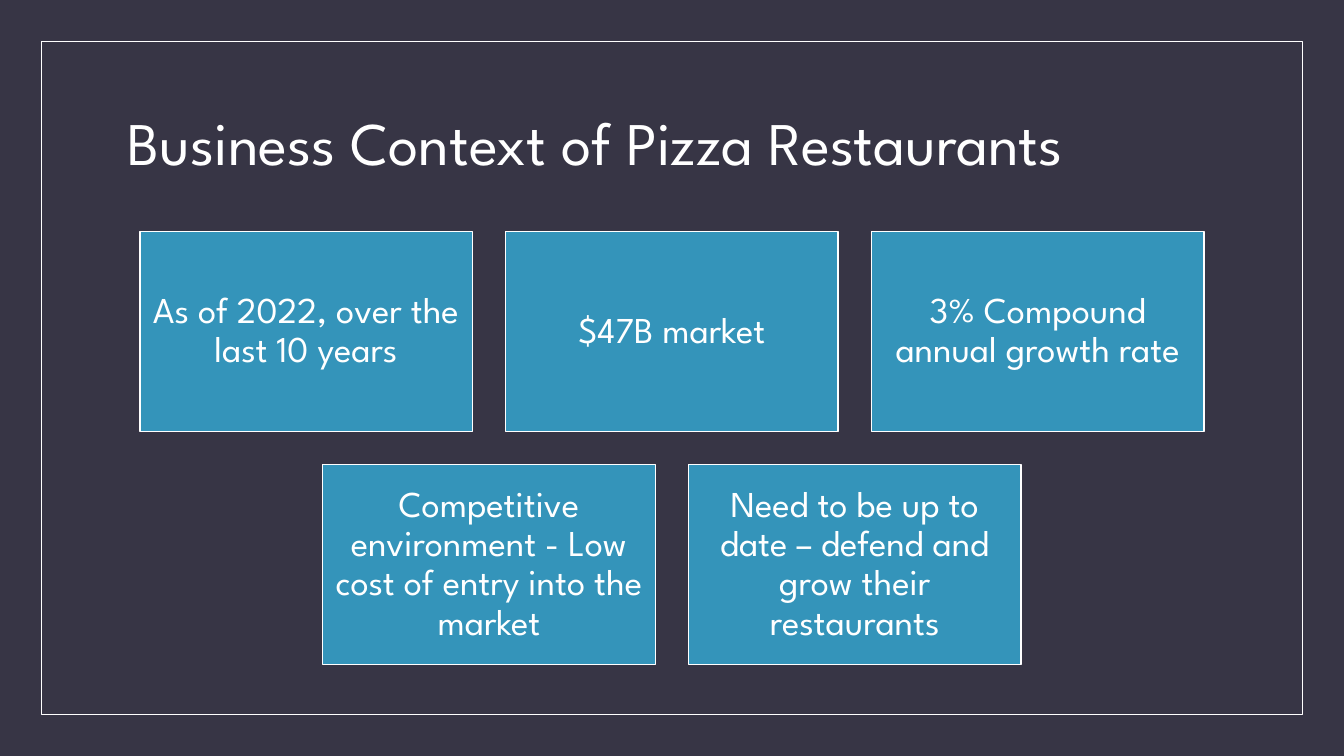
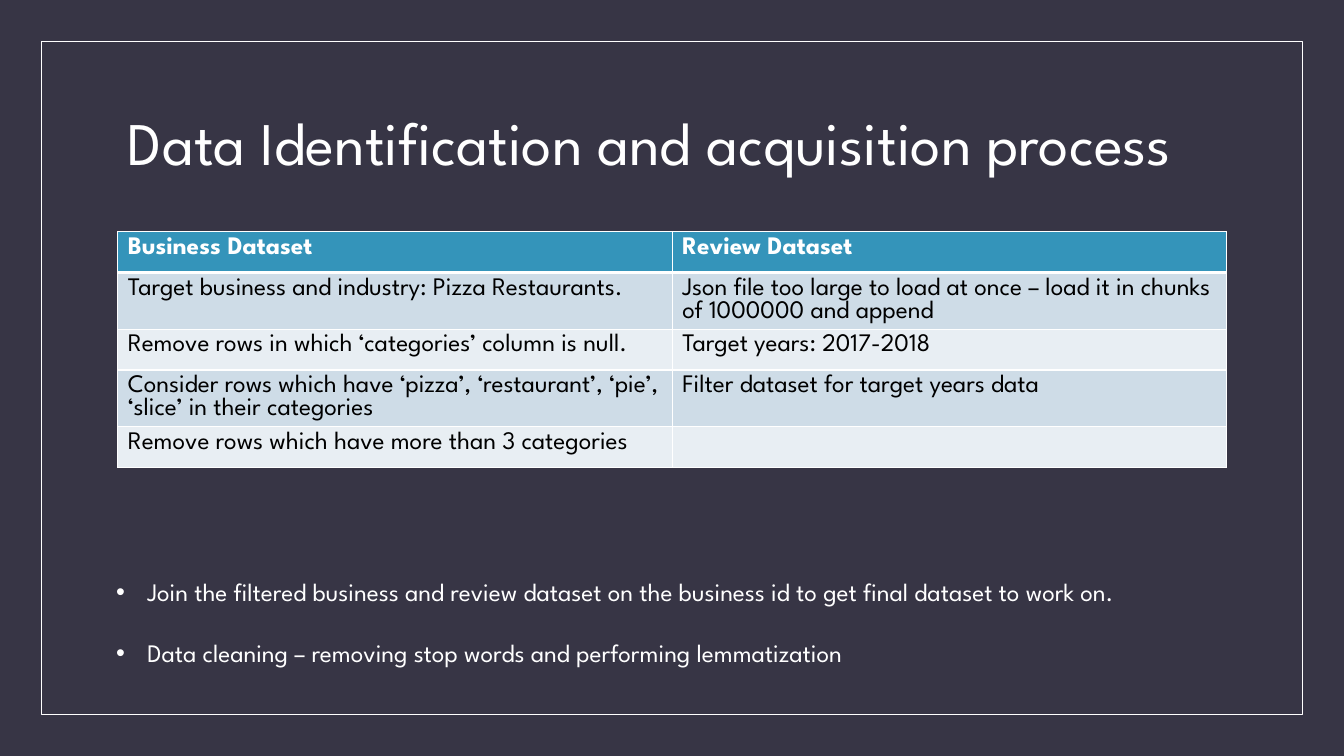
import pptx
import pptx.util
import pptx.dml.color
import pptx.enum.shapes
import pptx.enum.text
import pptx.oxml.ns
import lxml.etree

Cm = pptx.util.Cm
Pt = pptx.util.Pt
RGBColor = pptx.dml.color.RGBColor
ALIGN = pptx.enum.text.PP_ALIGN
ANCHOR = pptx.enum.text.MSO_ANCHOR
RECT = pptx.enum.shapes.MSO_SHAPE.RECTANGLE
qn = pptx.oxml.ns.qn

# Shared look
FONT = "League Spartan"
DARK = RGBColor(0x37, 0x35, 0x45)
BLUE = RGBColor(0x34, 0x94, 0xBA)
WHITE = RGBColor(0xFF, 0xFF, 0xFF)
BLACK = RGBColor(0x00, 0x00, 0x00)
BANDS = [RGBColor(0xCE, 0xDC, 0xE7), RGBColor(0xE8, 0xEE, 0xF3)]

# Sizes in centimetres
SLIDE_W, SLIDE_H = 33.87, 19.05
FRAME_MARGIN = 1.04
CONTENT_X, CONTENT_Y, CONTENT_W = 2.97, 5.84, 27.94
CARD_W, CARD_H, CARD_GAP = 8.38, 5.03, 0.84
TABLE_ROW_H = 1.03

CARD_ROWS = [
    ["As of 2022, over the last 10 years", "$47B market",
     "3% Compound annual growth rate"],
    ["Competitive environment - Low cost of entry into the market",
     "Need to be up to date – defend and grow their restaurants"],
]
DATASET_ROWS = [
    ("Business Dataset", "Review Dataset"),
    ("Target business and industry: Pizza Restaurants.",
     "Json file too large to load at once – load it in chunks of 1000000 and append"),
    ("Remove rows in which ‘categories’ column is null.",
     "Target years: 2017-2018"),
    ("Consider rows which have ‘pizza’, ‘restaurant’, ‘pie’, ‘slice’ in their categories",
     "Filter dataset for target years data"),
    ("Remove rows which have more than 3 categories", ""),
]
NEXT_STEPS = [
    "Join the filtered business and review dataset on the business id to get final dataset to work on.",
    "Data cleaning – removing stop words and performing lemmatization",
]


def write(p, text, size=18, color=WHITE, bold=False, align=ALIGN.LEFT,
          spacing=1.0, before=0):
    """Put one formatted run into a paragraph."""
    p.alignment = align
    p.line_spacing = spacing
    p.space_before = Pt(before)
    if text:
        r = p.add_run()
        r.text = text
        r.font.name = FONT
        r.font.size = Pt(size)
        r.font.bold = bold
        r.font.color.rgb = color


def place(shape, x, y, w, h):
    shape.left, shape.top, shape.width, shape.height = Cm(x), Cm(y), Cm(w), Cm(h)


def add_box(s, x, y, w, h, line_width, fill=None):
    sp = s.shapes.add_shape(RECT, Cm(x), Cm(y), Cm(w), Cm(h))
    sp.shadow.inherit = False
    if fill is None:
        sp.fill.background()
    else:
        sp.fill.solid()
        sp.fill.fore_color.rgb = fill
    sp.line.color.rgb = WHITE
    sp.line.width = Pt(line_width)
    return sp


def style_master(prs, s):
    """Give the master its background, title place and frame."""
    master = prs.slide_master
    master.background.fill.solid()
    master.background.fill.fore_color.rgb = DARK
    place(master.placeholders[0], CONTENT_X, 1.78, CONTENT_W, 3.81)
    frame = add_box(s, FRAME_MARGIN, FRAME_MARGIN, SLIDE_W - 2 * FRAME_MARGIN,
                    SLIDE_H - 2 * FRAME_MARGIN, 0.5)
    master.shapes.element.insert(2, frame.element)


def add_slide(prs, layout, title):
    s = prs.slides.add_slide(prs.slide_layouts[layout])
    place(s.shapes.title, CONTENT_X, 1.78, CONTENT_W, 3.81)
    tf = s.shapes.title.text_frame
    tf.vertical_anchor = ANCHOR.MIDDLE
    write(tf.paragraphs[0], title, size=43.2, spacing=0.9)
    return s


def add_card(s, x, y, text):
    sp = add_box(s, x, y, CARD_W, CARD_H, 1, BLUE)
    tf = sp.text_frame
    tf.word_wrap = True
    tf.vertical_anchor = ANCHOR.MIDDLE
    tf.margin_left = tf.margin_right = tf.margin_top = tf.margin_bottom = Cm(0.28)
    write(tf.paragraphs[0], text, size=26, align=ALIGN.CENTER, spacing=0.9)


def add_card_rows(s, rows):
    """Centre each row of cards on the slide."""
    for i, texts in enumerate(rows):
        row_w = len(texts) * (CARD_W + CARD_GAP) - CARD_GAP
        x = (SLIDE_W - row_w) / 2
        y = CONTENT_Y + i * (CARD_H + CARD_GAP)
        for j, text in enumerate(texts):
            add_card(s, x + j * (CARD_W + CARD_GAP), y, text)


def set_borders(cell, top=1, bottom=1):
    tcPr = cell._tc.get_or_add_tcPr()
    for side, width in (("L", 1), ("R", 1), ("T", top), ("B", bottom)):
        ln = lxml.etree.SubElement(tcPr, qn("a:ln" + side), w=str(Pt(width)))
        fill = lxml.etree.SubElement(ln, qn("a:solidFill"))
        lxml.etree.SubElement(fill, qn("a:srgbClr"), val=str(WHITE))


def add_data_table(s, rows):
    cols = len(rows[0])
    table = s.shapes.add_table(len(rows), cols, Cm(CONTENT_X), Cm(CONTENT_Y),
                               Cm(CONTENT_W), Cm(TABLE_ROW_H * len(rows))).table
    for i, texts in enumerate(rows):
        header = i == 0
        table.rows[i].height = Cm(TABLE_ROW_H)
        for j, text in enumerate(texts):
            cell = table.cell(i, j)
            set_borders(cell, top=3 if i == 1 else 1, bottom=3 if header else 1)
            cell.fill.solid()
            cell.fill.fore_color.rgb = BLUE if header else BANDS[(i - 1) % 2]
            write(cell.text_frame.paragraphs[0], text, bold=header,
                  color=WHITE if header else BLACK)


def fill_bullets(body, items, gap):
    tf = body.text_frame
    for i, text in enumerate(items):
        p = tf.paragraphs[0] if i == 0 else tf.add_paragraph()
        write(p, text, before=gap if i else 0)
        pPr = p._p.get_or_add_pPr()
        pPr.set("marL", str(Cm(0.79)))
        pPr.set("indent", str(-Cm(0.79)))


def main():
    prs = pptx.Presentation()
    prs.slide_width, prs.slide_height = Cm(SLIDE_W), Cm(SLIDE_H)

    # Business context
    s = add_slide(prs, 5, "Business Context of Pizza Restaurants")
    style_master(prs, s)
    add_card_rows(s, CARD_ROWS)

    # Data acquisition
    s = add_slide(prs, 1, "Data Identification and acquisition process")
    add_data_table(s, DATASET_ROWS)
    body = s.placeholders[1]
    place(body, 2.67, 14.4, 29.21, 2.57)
    fill_bullets(body, NEXT_STEPS, gap=22)

    prs.save("out.pptx")


if __name__ == "__main__":
    main()
